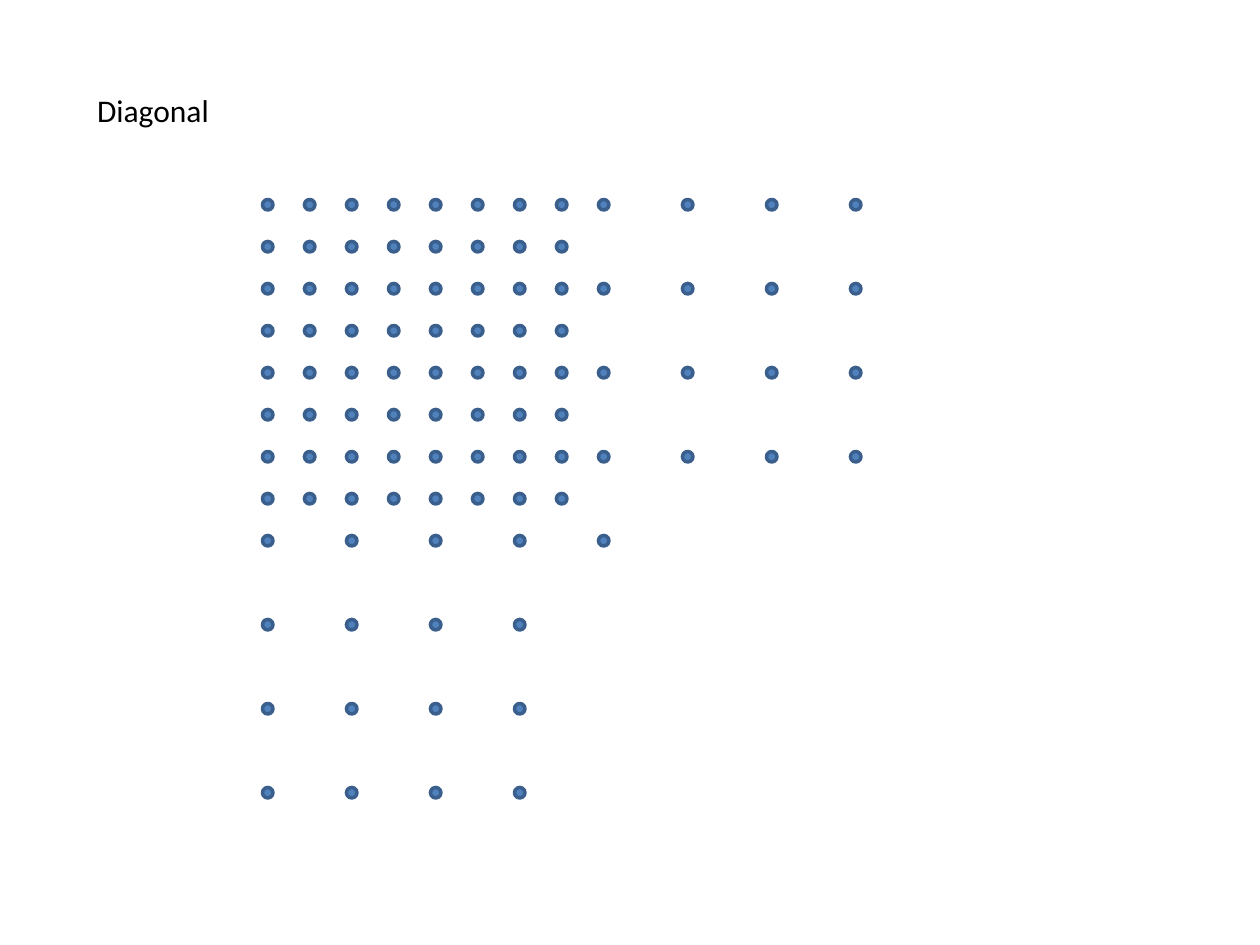
from dataclasses import dataclass

from pptx import Presentation
from pptx.dml.color import RGBColor
from pptx.enum.shapes import MSO_SHAPE
from pptx.enum.text import MSO_ANCHOR, MSO_AUTO_SIZE, PP_ALIGN
from pptx.shapes.shapetree import GroupShapes, SlideShapes
from pptx.slide import Slide
from pptx.util import Inches, Pt

DOT_FILL = RGBColor(0x4F, 0x81, 0xBD)
DOT_LINE = RGBColor(0x3A, 0x5F, 0x8C)
TITLE_COLOR = RGBColor(0x00, 0x00, 0x00)

DOT_SIZE = 1 / 12
FINE_STEP = 1 / 3
COARSE_STEP = 2 * FINE_STEP
GRID_LEFT = 25 / 12
GRID_TOP = 19 / 12
BLOCK_SIZE = 8 * FINE_STEP


@dataclass(frozen=True)
class DotGrid:
    left: float
    top: float
    count: int
    step: float


FINE_GRID = DotGrid(GRID_LEFT, GRID_TOP, 8, FINE_STEP)
RIGHT_GRID = DotGrid(GRID_LEFT + BLOCK_SIZE, GRID_TOP, 4, COARSE_STEP)
LOWER_GRID = DotGrid(GRID_LEFT, GRID_TOP + BLOCK_SIZE, 4, COARSE_STEP)


def add_dot(shapes: SlideShapes | GroupShapes, left: float, top: float) -> None:
    dot = shapes.add_shape(
        MSO_SHAPE.OVAL, Inches(left), Inches(top), Inches(DOT_SIZE), Inches(DOT_SIZE)
    )
    dot.shadow.inherit = False
    dot.fill.solid()
    dot.fill.fore_color.rgb = DOT_FILL
    dot.line.color.rgb = DOT_LINE
    dot.line.width = Pt(2)


def add_dot_grid(slide: Slide, grid: DotGrid) -> None:
    group = slide.shapes.add_group_shape()
    for column in range(grid.count):
        for row in range(grid.count):
            add_dot(group.shapes, grid.left + column * grid.step, grid.top + row * grid.step)


def set_title(slide: Slide, text: str) -> None:
    title = slide.shapes.title
    title.left, title.top = Inches(0.67), Inches(0.67)
    title.width, title.height = Inches(1.1), Inches(0.4)
    frame = title.text_frame
    frame.word_wrap = False
    frame.auto_size = MSO_AUTO_SIZE.SHAPE_TO_FIT_TEXT
    frame.vertical_anchor = MSO_ANCHOR.TOP
    paragraph = frame.paragraphs[0]
    paragraph.alignment = PP_ALIGN.LEFT
    run = paragraph.add_run()
    run.text = text
    run.font.name = "Calibri"
    run.font.size = Pt(18)
    run.font.color.rgb = TITLE_COLOR


def main() -> None:
    presentation = Presentation()
    presentation.slide_width = Inches(10)
    presentation.slide_height = Inches(7.5)
    slide = presentation.slides.add_slide(presentation.slide_layouts[5])

    set_title(slide, "Diagonal")
    add_dot_grid(slide, FINE_GRID)
    add_dot_grid(slide, RIGHT_GRID)
    add_dot(slide.shapes, RIGHT_GRID.left, LOWER_GRID.top)
    add_dot_grid(slide, LOWER_GRID)

    presentation.save("out.pptx")


if __name__ == "__main__":
    main()
